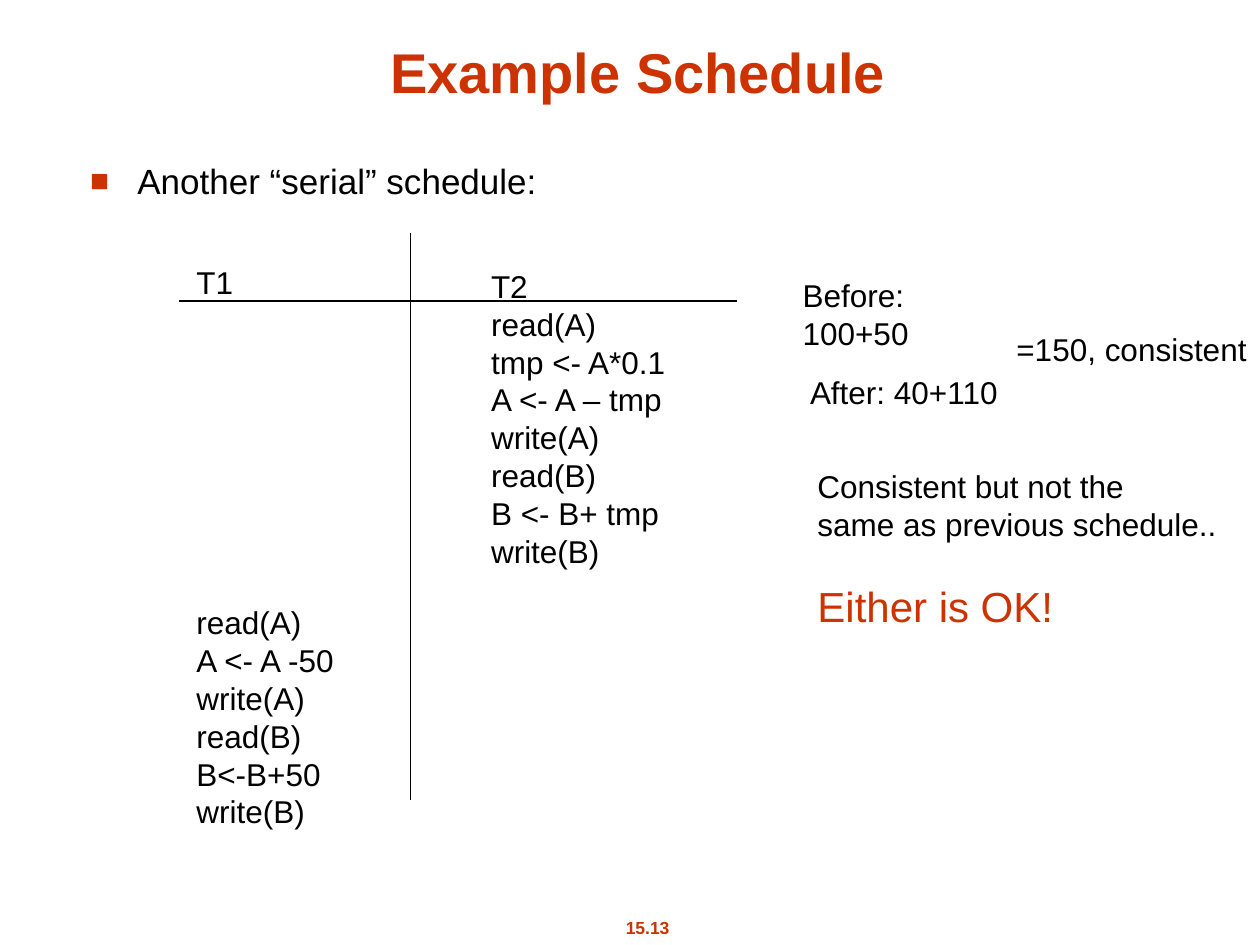
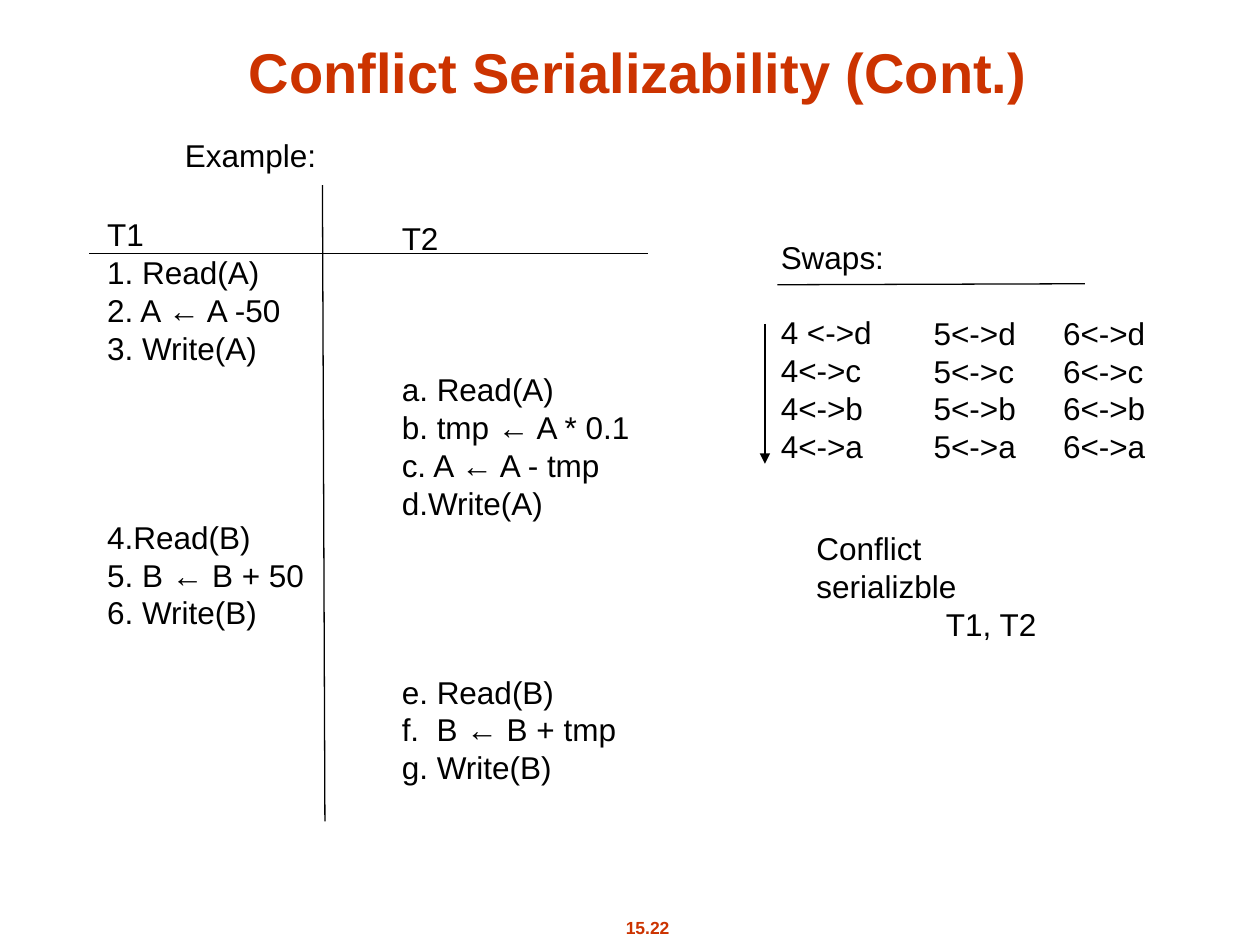
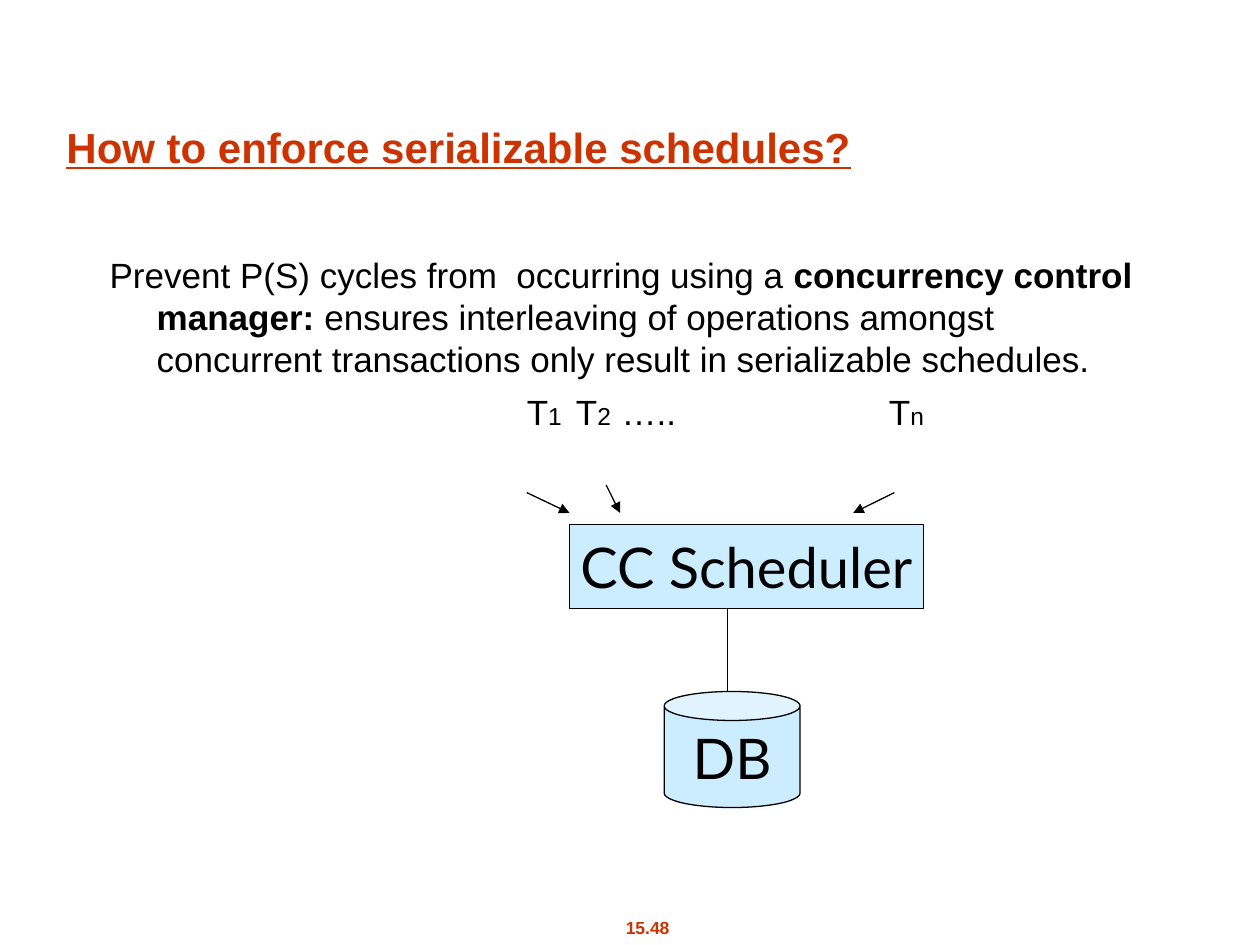
from lxml.etree import SubElement
from pptx import Presentation
from pptx.dml.color import RGBColor
from pptx.enum.shapes import MSO_CONNECTOR as Connector, MSO_SHAPE as Shape
from pptx.enum.text import MSO_ANCHOR as Anchor, PP_ALIGN as Align
from pptx.oxml.ns import qn
from pptx.util import Cm, Pt

COLORS = {"accent": "CC3300", "ink": "000000", "box": "CCECFF"}
LINE_PITCH = 21.6  # points per line of 18 pt text
HANG = Cm(0.95)

# Content: boxes are (left, top, width, height) in cm.
# A number in a list of lines is a gap of that many lines.
TITLE_BOX = (1.65, 0.53, 22.43, 1.7)
FOOTER_BOX = (11.71, 18.36, 2.69, 0.69)

SERIAL = {
    "title": "Example Schedule",
    "number": "15.13",
    "bullet": "Another “serial” schedule:",
    "texts": [
        ((3.71, 5.18, 3.38, 11.68),
         ["T1", 8, "read(A)", "A <- A -50", "write(A)", "read(B)", "B<-B+50", "write(B)"]),
        ((9.65, 5.26, 4.04, 6.35),
         ["T2", "read(A)", "tmp <- A*0.1", "A <- A – tmp", "write(A)",
          "read(B)", "B <- B+ tmp", "write(B)"]),
        ((15.93, 5.44, 4.85, 1.02), ["Before: 100+50"]),
        ((16.08, 7.39, 4.34, 1.02), ["After: 40+110"]),
        ((16.23, 9.3, 8.56, 3.56),
         ["Consistent but not the", "same as previous schedule..", 1,
          ("Either is OK!", 24, "accent")]),
        ((20.24, 6.53, 5.16, 1.02), ["=150, consistent"]),
    ],
    "lines": [(3.61, 6.07, 14.86, 6.07), (8.28, 4.7, 8.28, 16.13)],
}

CONFLICT = {
    "title": "Conflict Serializability (Cont.)",
    "number": "15.22",
    "texts": [
        ((3.48, 2.62, 3.15, 1.02), ["Example:"]),
        ((1.91, 4.22, 4.47, 8.64),
         ["T1", "1. Read(A)", "2. A ← A -50", "3. Write(A)", 4,
          "4.Read(B)", "5. B ← B + 50", "6. Write(B)"]),
        ((7.85, 4.29, 5.16, 11.68),
         ["T2", 3, "a. Read(A)", "b. tmp ← A * 0.1", "c. A ← A - tmp", "d.Write(A)", 4,
          "e. Read(B)", "f.  B ← B + tmp", "g. Write(B)"]),
        ((15.49, 4.67, 2.77, 5.59),
         ["Swaps:", 1, "4 <->d", "4<->c", "4<->b", "4<->a"]),
        ((18.57, 6.2, 2.16, 4.06), [f"5<->{step}" for step in "dcba"]),
        ((21.18, 6.2, 2.16, 4.06), [f"6<->{step}" for step in "dcba"]),
        ((16.21, 10.54, 5.61, 1.02), ["Conflict serializble"]),
        ((18.82, 12.07, 2.34, 1.02), ["T1, T2"]),
    ],
    "lines": [(1.8, 5.11, 13.06, 5.11), (6.5, 3.73, 6.55, 16.56), (15.67, 5.74, 21.87, 5.72)],
    "arrows": [(15.42, 6.53, 15.42, 9.35)],
}

ENFORCE = {
    "title": "How to enforce serializable schedules?",
    "number": "15.48",
    "prevent": [
        ("Prevent P(S) cycles from  occurring using a ", False),
        ("concurrency control manager: ", True),
        ("ensures interleaving of operations amongst concurrent transactions "
         "only result in serializable schedules.", False),
    ],
    "transactions": [("T", "1", 10.37), ("T", "2", 11.36), ("…..", "", 12.28), ("T", "n", 17.67)],
    "parts": [
        (Shape.RECTANGLE, (11.48, 10.57, 7.14, 1.7), "CC Scheduler"),
        (Shape.CAN, (13.39, 13.94, 2.74, 2.34), "DB"),
    ],
    "lines": [(14.66, 12.24, 14.66, 13.94)],
    "arrows": [(10.62, 9.93, 11.48, 10.34), (12.22, 9.78, 12.5, 10.34),
               (18.03, 9.93, 17.2, 10.34)],
}


# Shared helpers
def color(name):
    return RGBColor.from_string(COLORS[name])


def style(font, size=18, ink="ink", bold=False, face="Arial"):
    font.name, font.size, font.bold = face, Pt(size), bold
    font.color.rgb = color(ink)


def add_box(slide, box, wrap=True, anchor=Anchor.TOP):
    frame = slide.shapes.add_textbox(*map(Cm, box)).text_frame
    frame.word_wrap = wrap
    frame.vertical_anchor = anchor
    return frame


def add_lines(slide, box, lines):
    frame = add_box(slide, box, wrap=False)
    paragraph, gap = frame.paragraphs[0], 0
    for line in lines:
        if isinstance(line, int):
            gap = line
            continue
        text, *look = line if isinstance(line, tuple) else (line,)
        if paragraph.runs:
            paragraph = frame.add_paragraph()
        paragraph.add_run().text = text
        if gap:
            paragraph.space_before = Pt(gap * LINE_PITCH)
            gap = 0
        style(paragraph.font, *look)


def add_line(slide, ends, arrow=False):
    line = slide.shapes.add_connector(Connector.STRAIGHT, *map(Cm, ends))
    line.line.color.rgb = color("ink")
    line.line.width = Pt(0.75)
    if arrow:
        SubElement(line.line._get_or_add_ln(), qn("a:tailEnd"), type="triangle")
    SubElement(line._element.spPr, qn("a:effectLst"))


def hang(paragraph):
    properties = paragraph._p.get_or_add_pPr()
    properties.set("marL", str(HANG))
    properties.set("indent", str(-HANG))
    return properties


def add_title(slide, text, box=TITLE_BOX, size=32, align=Align.CENTER, anchor=Anchor.BOTTOM):
    paragraph = add_box(slide, box, anchor=anchor).paragraphs[0]
    paragraph.text = text
    paragraph.alignment = align
    style(paragraph.font, size, "accent", True)
    return paragraph


def start_slide(deck, content):
    slide = deck.slides.add_slide(deck.slide_layouts[6])
    number = add_box(slide, FOOTER_BOX, wrap=False).paragraphs[0]
    number.text = content["number"]
    number.alignment = Align.CENTER
    style(number.font, 10, "accent", True)
    for box, lines in content.get("texts", []):
        add_lines(slide, box, lines)
    for ends in content["lines"]:
        add_line(slide, ends)
    for ends in content.get("arrows", []):
        add_line(slide, ends, arrow=True)
    return slide


# Slides
def build_serial(deck):
    slide = start_slide(deck, SERIAL)
    add_title(slide, SERIAL["title"])
    bullet = add_box(slide, (1.57, 3.1, 21.79, 1.83)).paragraphs[0]
    bullet.text = SERIAL["bullet"]
    properties = hang(bullet)
    tint = SubElement(properties, qn("a:buClr"))
    SubElement(tint, qn("a:srgbClr"), val=COLORS["accent"])
    SubElement(properties, qn("a:buSzPct"), val="90000")
    SubElement(properties, qn("a:buFont"), typeface="Arial")
    SubElement(properties, qn("a:buChar"), char="■")
    style(bullet.font, 20)


def build_conflict(deck):
    slide = start_slide(deck, CONFLICT)
    add_title(slide, CONFLICT["title"])


def build_enforce(deck):
    slide = start_slide(deck, ENFORCE)
    title = add_title(slide, ENFORCE["title"], (1.09, 1.37, 22.22, 3.17), 24,
                      Align.LEFT, Anchor.MIDDLE)
    title.font.underline = True

    prevent = add_box(slide, (1.96, 4.98, 21.59, 2.8)).paragraphs[0]
    hang(prevent)
    style(prevent.font, 20)
    for text, bold in ENFORCE["prevent"]:
        run = prevent.add_run()
        run.text, run.font.bold = text, bold

    for base, index, left in ENFORCE["transactions"]:
        label = add_box(slide, (left, 7.75, 1.8, 1.1)).paragraphs[0]
        style(label.font, 20)
        label.add_run().text = base
        if index:
            subscript = label.add_run()
            subscript.text, subscript.font.size = index, Pt(14)

    for kind, box, text in ENFORCE["parts"]:
        part = slide.shapes.add_shape(kind, *map(Cm, box))
        part.shadow.inherit = False
        part.fill.solid()
        part.fill.fore_color.rgb = color("box")
        part.line.color.rgb = color("ink")
        part.line.width = Pt(0.75)
        part.text_frame.word_wrap = False
        part.text_frame.vertical_anchor = Anchor.MIDDLE
        caption = part.text_frame.paragraphs[0]
        caption.text = text
        caption.alignment = Align.CENTER
        style(caption.font, 32, face="Lato")


def main():
    deck = Presentation()
    deck.slide_width, deck.slide_height = Cm(25.4), Cm(19.05)
    for build in (build_serial, build_conflict, build_enforce):
        build(deck)
    deck.save("out.pptx")


if __name__ == "__main__":
    main()
